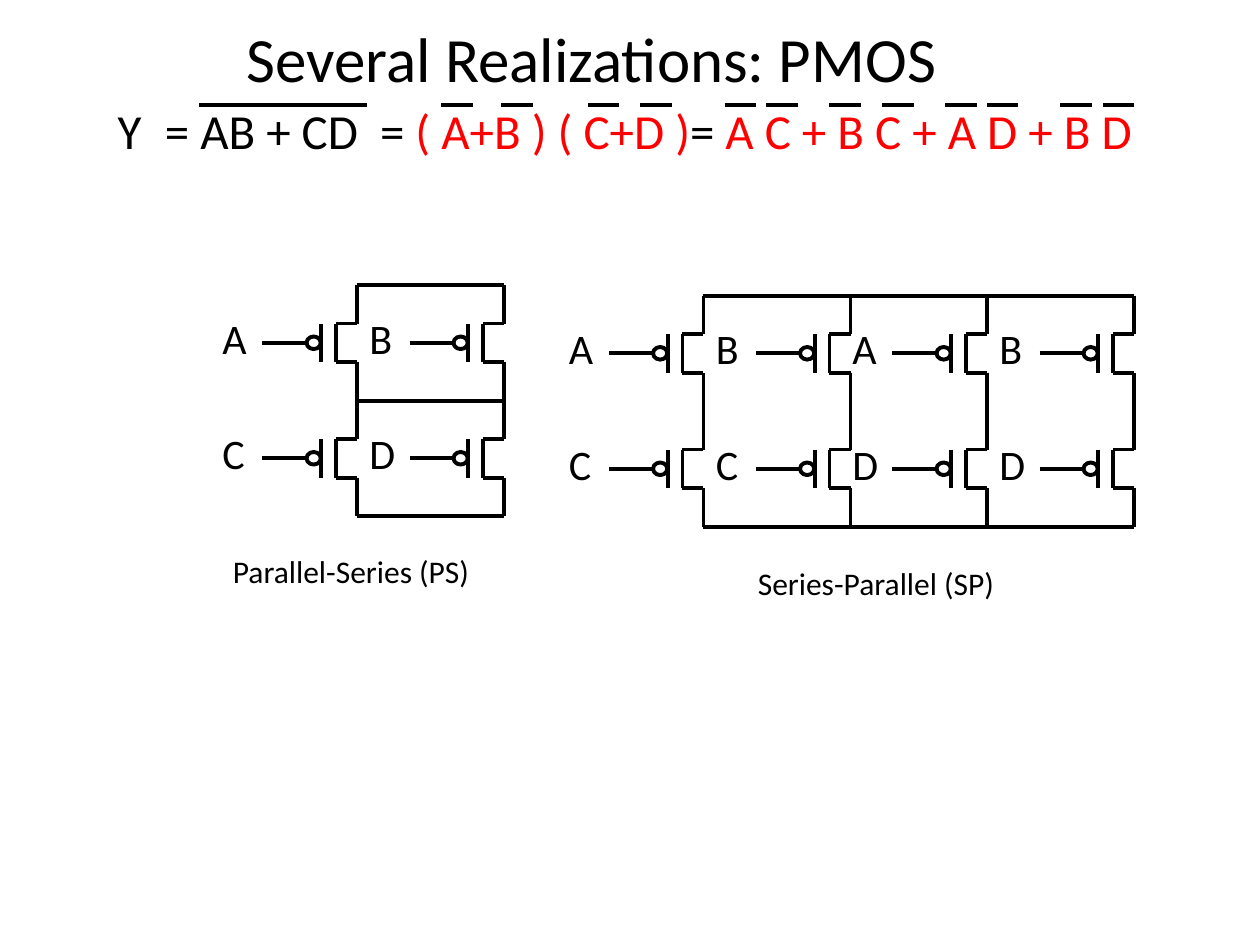
from dataclasses import dataclass

from pptx import Presentation, util as u
from pptx.dml.color import RGBColor
from pptx.enum import shapes, text
from pptx.oxml import ns, xmlchemy as xml


@dataclass
class Theme:
    ink: str = "000000"
    red: str = "FF0000"
    paper: str = "FFFFFF"
    font: str = "Calibri"
    head: int = 36
    lead: int = 28
    label: int = 24
    note: int = 18
    line: float = 2.25


def write(para, words, size, color, font):
    run = para.add_run()
    run.text = words
    run.font.size = u.Pt(size)
    run.font.name = font
    run.font.color.rgb = RGBColor.from_string(color)


class Sheet:
    """Draws on one slide with a grid of 120 columns by 90 rows."""

    def __init__(self, deck, theme):
        self.theme = theme
        self.slide = deck.slides.add_slide(deck.slide_layouts[1])
        self.cell = deck.slide_width / 120

    def grid(self, *spans):
        return [u.Emu(round(span * self.cell)) for span in spans]

    def fill(self, index, box, parts, size, anchor):
        shape = self.slide.placeholders[index]
        shape.left, shape.top, shape.width, shape.height = self.grid(*box)
        frame = shape.text_frame
        frame.auto_size = text.MSO_AUTO_SIZE.NONE
        frame.vertical_anchor = anchor
        para = frame.paragraphs[0]
        for words, color in parts:
            write(para, words, size, color, self.theme.font)
        return para

    def title(self, box, words):
        para = self.fill(0, box, [(words, self.theme.ink)], self.theme.head,
                         text.MSO_ANCHOR.MIDDLE)
        para.alignment = text.PP_ALIGN.CENTER

    def body(self, box, parts):
        para = self.fill(1, box, parts, self.theme.lead, text.MSO_ANCHOR.TOP)
        props = para._p.get_or_add_pPr()
        props.append(xml.OxmlElement("a:buNone"))

    def label(self, box, words, size):
        shape = self.slide.shapes.add_textbox(*self.grid(*box))
        frame = shape.text_frame
        frame.word_wrap = True
        frame.auto_size = text.MSO_AUTO_SIZE.SHAPE_TO_FIT_TEXT
        write(frame.paragraphs[0], words, size, self.theme.ink, self.theme.font)

    def stroke(self, line):
        line.color.rgb = RGBColor.from_string(self.theme.ink)
        line.width = u.Pt(self.theme.line)

    def wire(self, x1, y1, x2, y2, home=None):
        home = home or self.slide.shapes
        wire = home.add_connector(shapes.MSO_CONNECTOR.STRAIGHT,
                                  *self.grid(x1, y1, x2, y2))
        self.stroke(wire.line)
        props = wire._element.find(ns.qn("p:spPr"))
        props.append(xml.OxmlElement("a:effectLst"))

    def ring(self, box, home):
        ring = home.add_shape(shapes.MSO_SHAPE.OVAL, *self.grid(*box))
        ring.shadow.inherit = False
        ring.fill.solid()
        ring.fill.fore_color.rgb = RGBColor.from_string(self.theme.paper)
        self.stroke(ring.line)

    def gate(self, x, y, name):
        home = self.slide.shapes.add_group_shape().shapes
        plate, body, drain = x + 5.6, x + 7, x + 9
        high, mid, low, end = (y + 11 * part for part in (1/3, 1/2, 2/3, 1))
        for ends in [
            (plate, high, plate, low),
            (body, high, body, low),
            (body, high, drain, high),
            (drain, low, drain, end),
            (body, low, drain, low),
            (drain, y, drain, high),
            (x, mid, x + 4.2, mid),
        ]:
            self.wire(*ends, home)
        self.ring((x + 4.2, mid - 0.6, 1.35, 1.2), home)
        self.label((x - 5, y + 2, 8, 6.06), name, self.theme.label)

    def network(self, cols, top, rows, rails):
        for row, names in enumerate(rows):
            for x, name in zip(cols, names):
                self.gate(x, top + 11 * row, name)
        for rail in rails:
            y = top + 11 * rail
            self.wire(cols[0] + 9, y, cols[-1] + 9, y)


def main():
    deck = Presentation()
    deck.slide_width, deck.slide_height = u.Inches(10), u.Inches(7.5)
    theme = Theme()
    sheet = Sheet(deck, theme)
    sheet.title((6, 0, 102, 11), "Several Realizations: PMOS ")
    sheet.body((10, 9, 101, 8), [
        ("Y\t= AB + CD  =", theme.ink),
        (" ( A+B ) ( C+D )", theme.red),
        ("= ", theme.ink),
        ("A C + B C + A D + B D", theme.red),
    ])
    sheet.wire(19, 10, 35, 10)
    for x in (42, 47.75, 56, 61, 69, 73, 79, 84, 90, 94, 101, 105):
        sheet.wire(x, 10, x + 3, 10)
    sheet.network((25, 39), 27.15, ("AB", "CD"), (0, 1, 2))
    sheet.network((58, 72, 85, 99), 28.15, ("ABAB", "CCDD"), (0, 2))
    sheet.label((71, 53.15, 31, 4.85), "Series-Parallel (SP)", theme.note)
    sheet.label((21, 52, 31, 4.85), "Parallel-Series (PS)", theme.note)
    deck.save("out.pptx")


if __name__ == "__main__":
    main()
